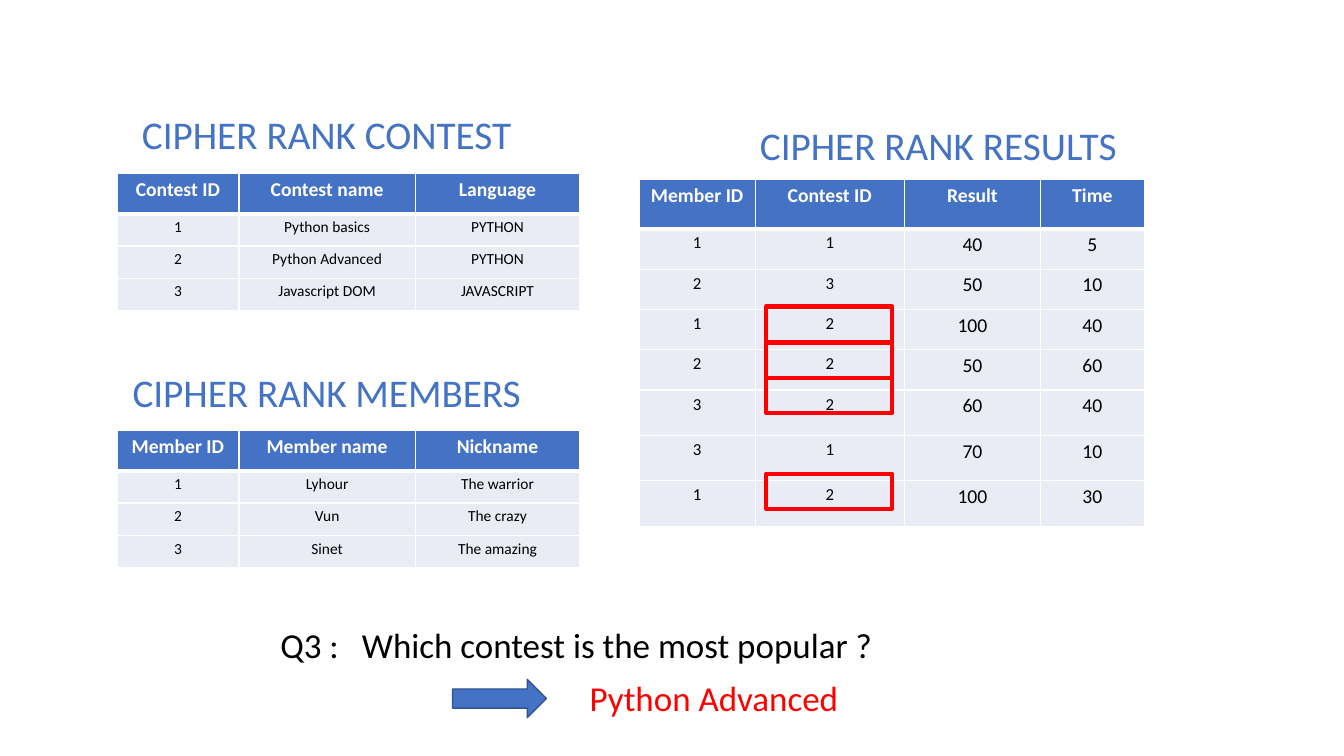
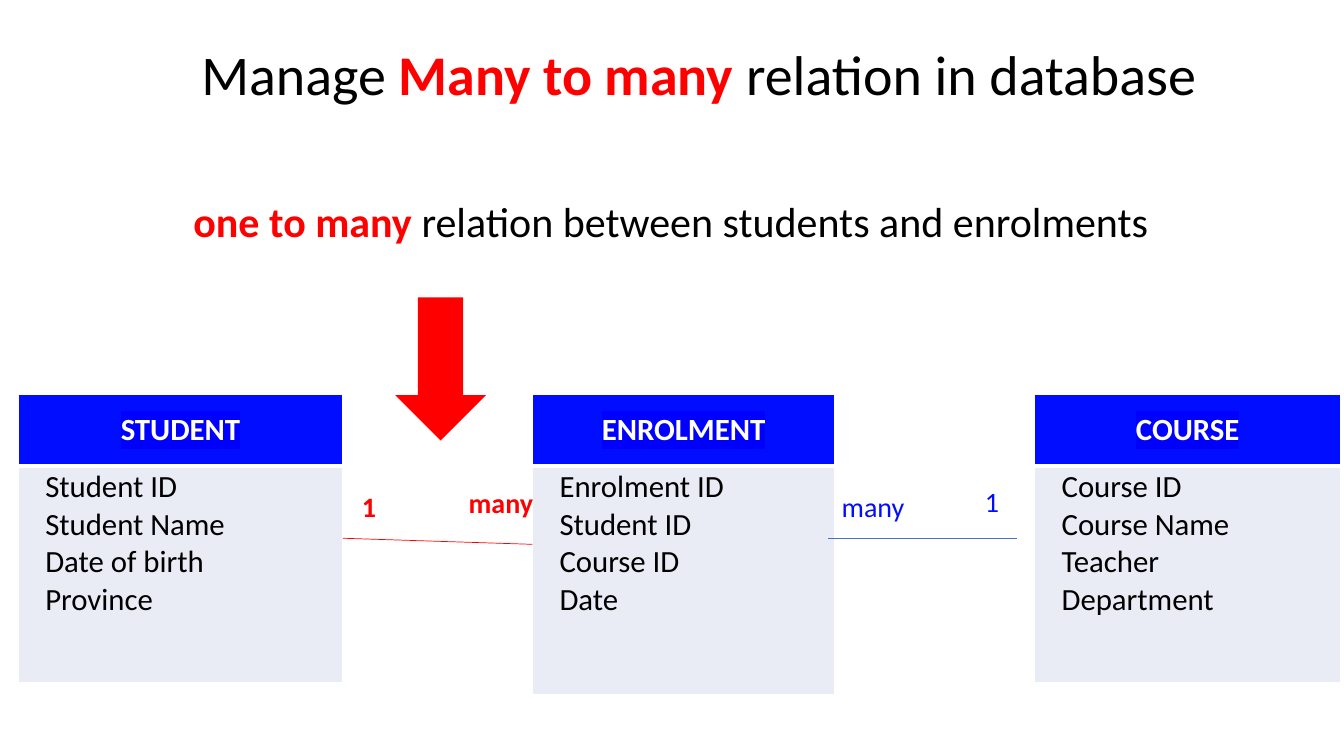
"""Build two slides on contest tables and many-to-many relations."""
import pptx
import pptx.dml.color
import pptx.enum.shapes
import pptx.enum.text
import pptx.oxml
import pptx.oxml.ns
import pptx.util

Inches = pptx.util.Inches
Pt = pptx.util.Pt
RGBColor = pptx.dml.color.RGBColor
Shape = pptx.enum.shapes.MSO_SHAPE
Align = pptx.enum.text.PP_ALIGN
Anchor = pptx.enum.text.MSO_ANCHOR

FONT = "Calibri"
BLUE = RGBColor(0x44, 0x72, 0xC4)
EDGE = RGBColor(0x32, 0x54, 0x91)
ROYAL = RGBColor(0x00, 0x0D, 0xFF)
PALE = RGBColor(0xE9, 0xEB, 0xF5)
RED = RGBColor(0xFF, 0x00, 0x00)
BLACK = RGBColor(0x00, 0x00, 0x00)
WHITE = RGBColor(0xFF, 0xFF, 0xFF)
GLOW = RGBColor(0x00, 0x00, 0xFF)

HEAD = {"size": 14, "color": WHITE, "bold": True}
NAME = {"size": 22, "color": WHITE, "bold": True}
FIELD = {"size": 22, "color": BLACK, "bold": False}
LABEL = {"size": 28, "color": BLUE}
ASK = {"size": 25, "color": BLACK}
REPLY = {"size": 25, "color": RED}
TITLE = {"size": 40, "color": BLACK, "bold": False}
NOTE = {"size": 30, "color": BLACK}
SMALL = (0.08, 0.04, 0.08, 0.04)

GRIDS = [
    {
        "title": "CIPHER RANK RESULTS", "box": (6.25, 1.15, 6.11, 0.57),
        "at": (6.34, 1.78), "cols": (1.15, 1.48, 1.35, 1.03),
        "rows": (0.49, *[0.4] * 4, *[0.45] * 3), "sizes": (12, 12, 14, 14),
        "cells": [
            ("Member ID", "Contest ID", "Result", "Time"),
            (1, 1, 40, 5), (2, 3, 50, 10), (1, 2, 100, 40), (2, 2, 50, 60),
            (3, 2, 60, 40), (3, 1, 70, 10), (1, 2, 100, 30),
        ],
    },
    {
        "title": "CIPHER RANK CONTEST", "box": (0.96, 1.05, 4.56, 0.57),
        "at": (1.16, 1.72), "cols": (1.21, 1.75, 1.63),
        "rows": (0.4, *[0.32] * 3), "sizes": (11, 11, 11),
        "cells": [
            ("Contest ID", "Contest name", "Language"),
            (1, "Python basics", "PYTHON"),
            (2, "Python Advanced", "PYTHON"),
            (3, "Javascript DOM", "JAVASCRIPT"),
        ],
    },
    {
        "title": "CIPHER RANK MEMBERS", "box": (0.96, 3.6, 4.56, 0.57),
        "at": (1.16, 4.27), "cols": (1.21, 1.75, 1.63),
        "rows": (0.4, *[0.32] * 3), "sizes": (11, 11, 11),
        "cells": [
            ("Member ID", "Member name", "Nickname"),
            (1, "Lyhour", "The warrior"),
            (2, "Vun", "The crazy"),
            (3, "Sinet", "The amazing"),
        ],
    },
]
MARKS = (3.04, 3.4, 3.75, 4.7)
CARDS = [
    ("STUDENT", 0.18, 3.22, 2.15,
     "Student ID\nStudent Name\nDate of birth\nProvince"),
    ("ENROLMENT", 5.28, 3, 2.27,
     "Enrolment ID\nStudent ID\nCourse ID\nDate"),
    ("COURSE", 10.26, 3.04, 2.15,
     "Course ID\nCourse Name\nTeacher\nDepartment"),
]
LINKS = [
    ((3.4, 5.34), (5.28, 5.4), RED),
    ((8.21, 5.34), (10.09, 5.34), BLUE),
]
TAGS = [
    ("many", (4.55, 4.77, 0.9, 0.44), RED, True),
    ("1", (3.49, 4.81, 0.42, 0.44), RED, True),
    ("many", (8.25, 4.81, 0.9, 0.44), ROYAL, False),
    ("1", (9.67, 4.76, 0.42, 0.44), ROYAL, False),
]


def style(font, form):
    """Apply a dict of format values to a font."""
    form = {"name": FONT, **form}
    font.color.rgb = form.pop("color")
    form["size"] = Pt(form["size"])
    for key, value in form.items():
        setattr(font, key, value)


def write(frame, runs, form, align=Align.LEFT):
    """Fill the first paragraph with (text, extra format) runs."""
    para = frame.paragraphs[0]
    para.alignment = align
    for text, extra in runs:
        run = para.add_run()
        run.text = text
        style(run.font, {**form, **extra})
    return para


def place(shape, box):
    """Move and size a shape in inches."""
    for key, value in zip(("left", "top", "width", "height"), box):
        setattr(shape, key, Inches(value))


def add_text(slide, box, runs, form, align=Align.LEFT):
    """Add a wrapped text box."""
    frame = slide.shapes.add_textbox(*map(Inches, box)).text_frame
    frame.word_wrap = True
    return write(frame, runs, form, align)


def set_title(slide, box, runs, form, align):
    """Move and fill the title placeholder."""
    title = slide.shapes.title
    place(title, box)
    frame = title.text_frame
    frame.auto_size = pptx.enum.text.MSO_AUTO_SIZE.NONE
    frame.vertical_anchor = Anchor.TOP
    return write(frame, runs, form, align)


def add_shape(slide, kind, box, fill=None, line=None, weight=1):
    """Add a flat preset shape."""
    shape = slide.shapes.add_shape(kind, *map(Inches, box))
    shape.shadow.inherit = False
    if fill is None:
        shape.fill.background()
    else:
        shape.fill.solid()
        shape.fill.fore_color.rgb = fill
    if line is None:
        shape.line.fill.background()
    else:
        shape.line.color.rgb = line
        shape.line.width = Pt(weight)


def add_line(slide, start, end, color):
    """Add a thin straight connector."""
    line = slide.shapes.add_connector(
        pptx.enum.shapes.MSO_CONNECTOR.STRAIGHT, *map(Inches, start + end))
    line.line.color.rgb = color
    line.line.width = Pt(0.5)
    props = line._element.spPr
    props.append(props.makeelement(pptx.oxml.ns.qn("a:effectLst"), {}))


def add_grid(slide, spot, cols, rows):
    """Add an unbanded table with the given columns and rows."""
    size = (sum(cols), sum(rows))
    table = slide.shapes.add_table(
        len(rows), len(cols), *map(Inches, spot + size)).table
    table.horz_banding = False
    for col, width in zip(table.columns, cols):
        col.width = Inches(width)
    for row, height in zip(table.rows, rows):
        row.height = Inches(height)
    return table


def dress(cell, row, fill, pads):
    """Set borders, fill and margins of a cell."""
    props = cell._tc.get_or_add_tcPr()
    thick = {0: "B", 1: "T"}.get(row)
    for side in "LRTB":
        width = Pt(3 if side == thick else 1)
        props.append(pptx.oxml.parse_xml(
            f'<a:ln{side} {pptx.oxml.ns.nsdecls("a")} w="{width}">'
            f'<a:solidFill><a:srgbClr val="{WHITE}"/></a:solidFill>'
            f'</a:ln{side}>'))
    cell.fill.solid()
    cell.fill.fore_color.rgb = fill
    for side, pad in zip(("left", "top", "right", "bottom"), pads):
        setattr(cell, f"margin_{side}", Inches(pad))


def light(run, color):
    """Highlight a run."""
    fill = run._r.rPr.find(pptx.oxml.ns.qn("a:solidFill"))
    fill.addnext(pptx.oxml.parse_xml(
        f'<a:highlight {pptx.oxml.ns.nsdecls("a")}>'
        f'<a:srgbClr val="{color}"/></a:highlight>'))


def add_data(slide, grid):
    """Add a data table with its heading."""
    table = add_grid(slide, grid["at"], grid["cols"], grid["rows"])
    for r, row in enumerate(grid["cells"]):
        for c, value in enumerate(row):
            cell = table.cell(r, c)
            dress(cell, r, PALE if r else BLUE, SMALL)
            body = {"size": grid["sizes"][c], "color": BLACK, "bold": False}
            write(cell.text_frame, [(str(value), {})],
                  body if r else HEAD, Align.CENTER)
    add_text(slide, grid["box"], [(grid["title"], {})], LABEL, Align.CENTER)


def add_card(slide, name, left, width, height, fields):
    """Add an entity table with a name and a list of fields."""
    table = add_grid(slide, (left, 3.91), (width,), (0.71, height))
    top, body = table.cell(0, 0), table.cell(1, 0)
    dress(top, 0, ROYAL, (0.07, 0.03, 0.07, 0.03))
    dress(body, 1, PALE, (0.27, 0.03, 0.07, 0.03))
    top.vertical_anchor = Anchor.MIDDLE
    para = write(top.text_frame, [(name, {})], NAME, Align.CENTER)
    light(para.runs[0], GLOW)
    body.text = fields
    for para in body.text_frame.paragraphs:
        style(para.runs[0].font, FIELD)


def build_quiz(slide):
    """Build the contest question slide."""
    for grid in GRIDS:
        add_data(slide, grid)
    para = set_title(
        slide, (2.68, 6.14, 6.5, 0.52),
        [("Q3 :\tWhich contest is the most popular ?", {})], ASK, Align.LEFT)
    para._p.get_or_add_pPr().append(pptx.oxml.parse_xml(
        f'<a:tabLst {pptx.oxml.ns.nsdecls("a")}>'
        f'<a:tab pos="{Inches(0.81)}" algn="l"/></a:tabLst>'))
    for top in MARKS:
        add_shape(slide, Shape.RECTANGLE, (7.6, top, 1.25, 0.35),
                  line=RED, weight=3)
    add_shape(slide, Shape.RIGHT_ARROW, (4.49, 6.74, 0.93, 0.38), BLUE, EDGE)
    add_text(slide, (5.75, 6.66, 2.7, 0.52), [("Python Advanced", {})], REPLY)


def build_model(slide):
    """Build the relation slide."""
    strong = {"color": RED, "bold": True}
    set_title(slide, (1.11, 0.34, 11.64, 0.77),
              [("Manage ", {}), ("Many to many ", strong),
               ("relation in database", {})], TITLE, Align.CENTER)
    add_text(slide, (1.82, 1.89, 9.92, 0.61),
             [("one to many ", strong),
              ("relation between students and enrolments", {})], NOTE)
    for card in CARDS:
        add_card(slide, *card)
    for link in LINKS:
        add_line(slide, *link)
    for text, box, color, bold in TAGS:
        add_text(slide, box, [(text, {})],
                 {"size": 20, "color": color, "bold": bold})
    add_shape(slide, Shape.DOWN_ARROW, (3.92, 2.95, 0.9, 1.42), RED)


def main():
    """Build and save the deck."""
    deck = pptx.Presentation()
    deck.slide_width, deck.slide_height = Inches(13.33), Inches(7.5)
    for build in (build_quiz, build_model):
        build(deck.slides.add_slide(deck.slide_layouts[5]))
    deck.save("out.pptx")


if __name__ == "__main__":
    main()
